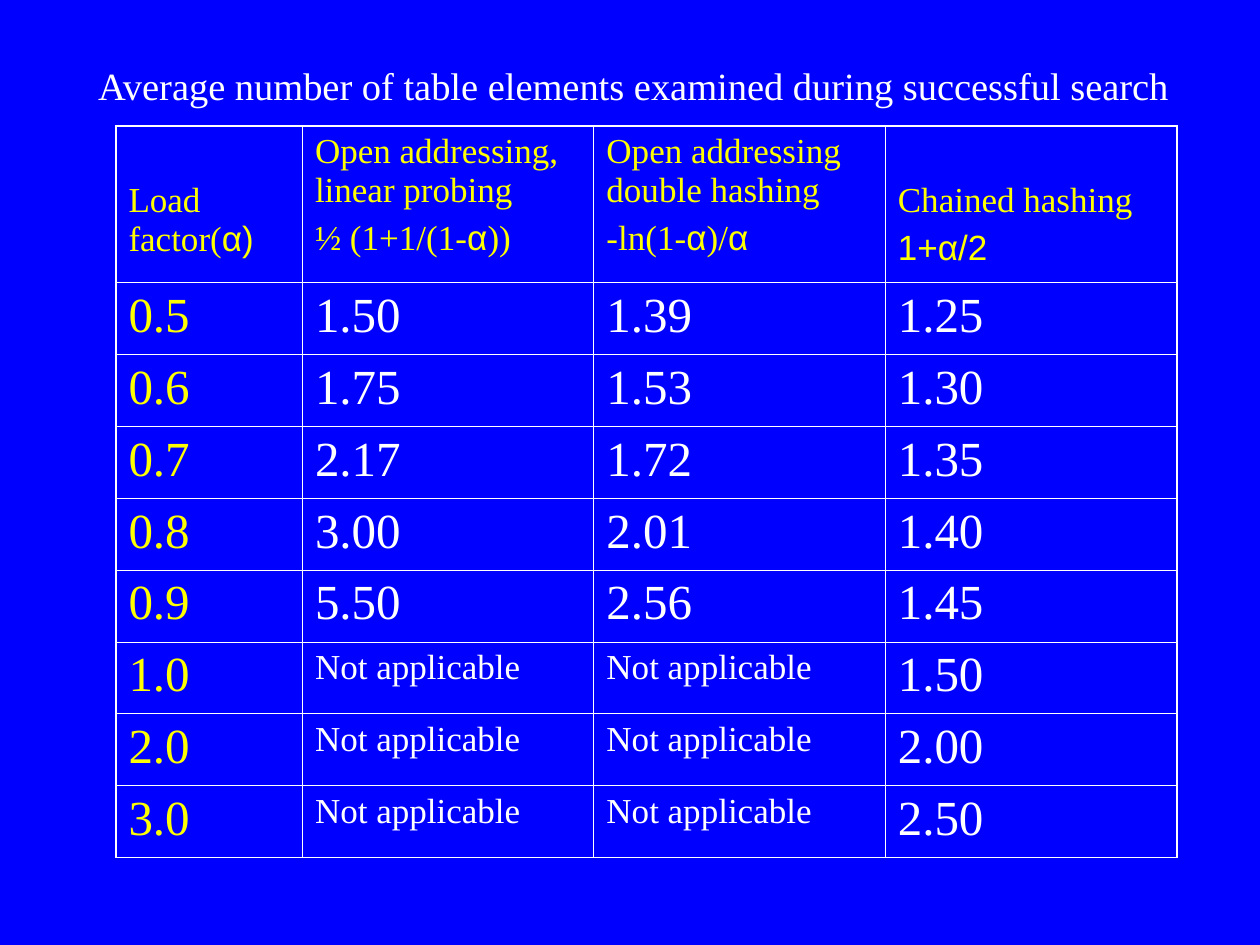
from dataclasses import dataclass

from lxml.etree import SubElement
from pptx import Presentation
from pptx.dml.color import RGBColor
from pptx.enum.text import MSO_AUTO_SIZE
from pptx.oxml.ns import qn
from pptx.util import Inches, Pt

SERIF, SANS = "Times New Roman", "Arial"
BLUE, WHITE, YELLOW = "0000FF", "FFFFFF", "FFFF00"
OUTER_LINE, INNER_LINE = Pt(1.08), Pt(0.45)


@dataclass(frozen=True)
class Piece:
    text: str
    font: str = SERIF


@dataclass(frozen=True)
class Entry:
    lines: tuple[tuple[Piece, ...], ...]
    size: int
    color: str
    space_before: int = 0
    top: float = 0.05


def heading(*lines: tuple[Piece, ...], top: float = 0.05) -> Entry:
    return Entry(lines, 20, YELLOW, 5, top)


def value(text: str, color: str) -> Entry:
    size, space = (20, 5) if text == NOT_APPLICABLE else (28, 7)
    return Entry(((Piece(text),),), size, color, space)


# Content
TITLE = "Average number of table elements examined during successful search"
NOT_APPLICABLE = "Not applicable"
ALPHA = Piece("α", SANS)
LOWERED = 0.44  # top inset that starts a heading one line further down
HEADINGS = [
    heading((Piece("Load factor("), Piece("α)", SANS)), top=LOWERED),
    heading((Piece("Open addressing, linear probing"),),
            (Piece("½ (1+1/(1-"), ALPHA, Piece("))"))),
    heading((Piece("Open addressing double hashing"),),
            (Piece("-ln(1-"), ALPHA, Piece(")/"), ALPHA)),
    heading((Piece("Chained hashing"),), (Piece("1+α/2", SANS),), top=LOWERED),
]
SEARCH_COSTS = [
    ("0.5", "1.50", "1.39", "1.25"),
    ("0.6", "1.75", "1.53", "1.30"),
    ("0.7", "2.17", "1.72", "1.35"),
    ("0.8", "3.00", "2.01", "1.40"),
    ("0.9", "5.50", "2.56", "1.45"),
    ("1.0", NOT_APPLICABLE, NOT_APPLICABLE, "1.50"),
    ("2.0", NOT_APPLICABLE, NOT_APPLICABLE, "2.00"),
    ("3.0", NOT_APPLICABLE, NOT_APPLICABLE, "2.50"),
]

# Layout in inches
TABLE_LEFT, TABLE_TOP, TABLE_WIDTH, TABLE_HEIGHT = 0.92, 1, 8.42, 5.81
FACTOR_WIDTH, HEADING_HEIGHT = 1.48, 1.24


def rgb(color: str) -> RGBColor:
    return RGBColor.from_string(color)


def apply(target, formats: dict) -> None:
    for name, setting in formats.items():
        setattr(target, name, setting)


def write(frame, entry: Entry) -> None:
    for index, line in enumerate(entry.lines):
        paragraph = frame.add_paragraph() if index else frame.paragraphs[0]
        paragraph.space_before = Pt(entry.space_before)
        for piece in line:
            run = paragraph.add_run()
            run.text = piece.text
            apply(run.font, {"name": piece.font, "size": Pt(entry.size)})
            run.font.color.rgb = rgb(entry.color)


def draw_borders(cell, widths: dict[str, int]) -> None:
    properties = cell._tc.get_or_add_tcPr()
    for index, (side, width) in enumerate(widths.items()):
        line = properties.makeelement(qn(f"a:{side}"), {"w": str(int(width))})
        fill = SubElement(line, qn("a:solidFill"))
        SubElement(fill, qn("a:srgbClr"), val=WHITE)
        properties.insert(index, line)


def draw_table(slide, rows: list[list[Entry]]) -> None:
    last_row, last_column = len(rows) - 1, len(rows[0]) - 1
    table = slide.shapes.add_table(
        len(rows), len(rows[0]), Inches(TABLE_LEFT), Inches(TABLE_TOP),
        Inches(TABLE_WIDTH), Inches(TABLE_HEIGHT)).table
    apply(table, {"first_row": False, "horz_banding": False})

    # First column and heading row have their own size, the rest share evenly
    cost_width = (TABLE_WIDTH - FACTOR_WIDTH) / last_column
    cost_height = (TABLE_HEIGHT - HEADING_HEIGHT) / last_row
    for index, column in enumerate(table.columns):
        column.width = Inches(cost_width if index else FACTOR_WIDTH)
    for index, row in enumerate(table.rows):
        row.height = Inches(cost_height if index else HEADING_HEIGHT)

    for r, entries in enumerate(rows):
        for c, entry in enumerate(entries):
            cell = table.cell(r, c)
            apply(cell, {
                "margin_left": Inches(0.1), "margin_right": Inches(0.1),
                "margin_top": Inches(entry.top), "margin_bottom": Inches(0.05),
            })
            cell.fill.background()
            write(cell.text_frame, entry)
            on_edge = {"lnL": c == 0, "lnR": c == last_column,
                       "lnT": r == 0, "lnB": r == last_row}
            draw_borders(cell, {side: OUTER_LINE if edge else INNER_LINE
                                for side, edge in on_edge.items()})


def draw_title(slide) -> None:
    frame = slide.shapes.add_textbox(
        Inches(0.68), Inches(0.44), Inches(8.72), Inches(0.47)).text_frame
    apply(frame, {"word_wrap": False,
                  "auto_size": MSO_AUTO_SIZE.SHAPE_TO_FIT_TEXT})
    write(frame, Entry(((Piece(TITLE),),), 22, WHITE))


def main() -> None:
    deck = Presentation()
    apply(deck, {"slide_width": Inches(10), "slide_height": Inches(7.5)})
    slide = deck.slides.add_slide(deck.slide_layouts[6])
    slide.background.fill.solid()
    slide.background.fill.fore_color.rgb = rgb(BLUE)

    cost_rows = [[value(text, WHITE if c else YELLOW)
                  for c, text in enumerate(row)] for row in SEARCH_COSTS]
    draw_table(slide, [HEADINGS, *cost_rows])
    draw_title(slide)
    deck.save("out.pptx")


if __name__ == "__main__":
    main()
